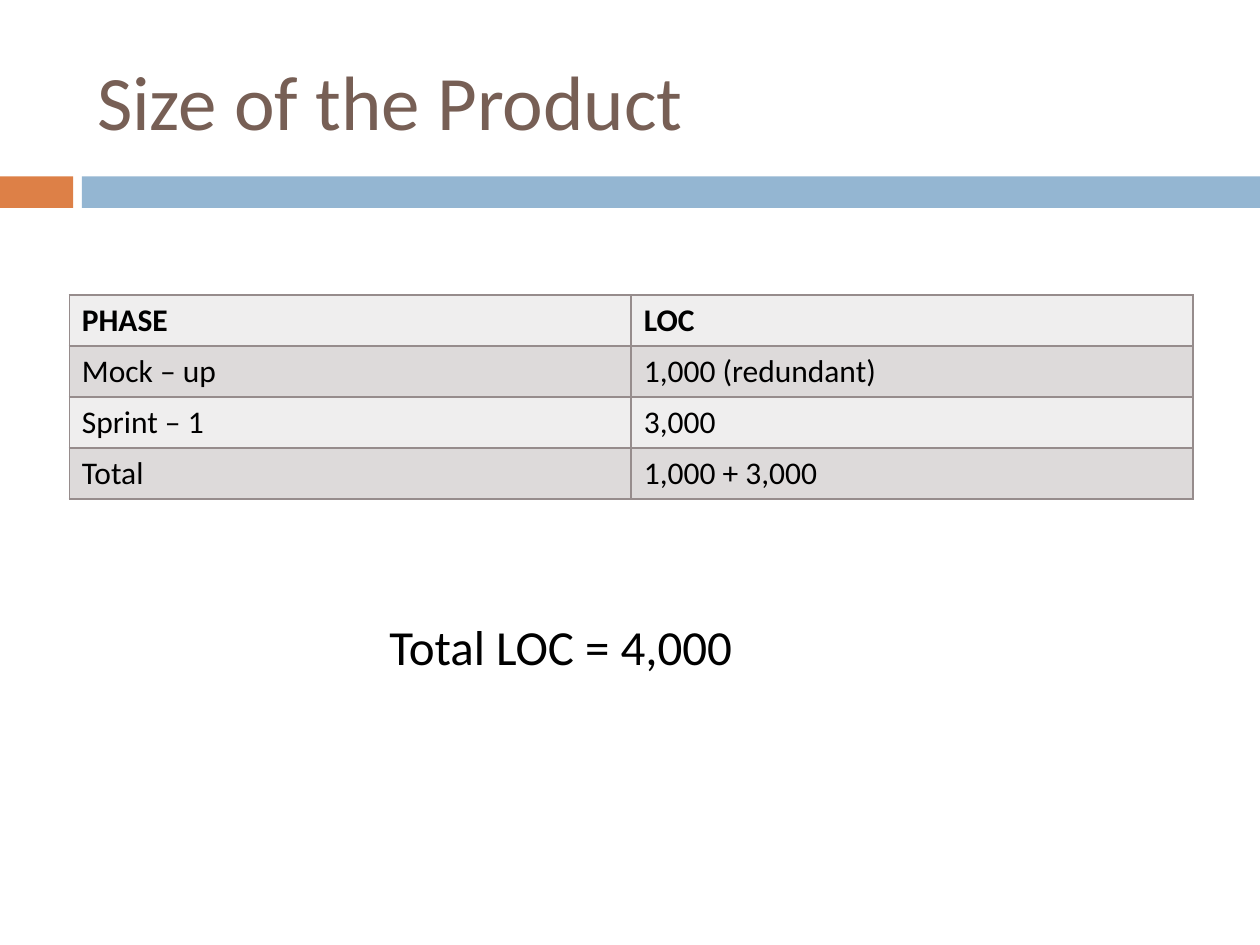
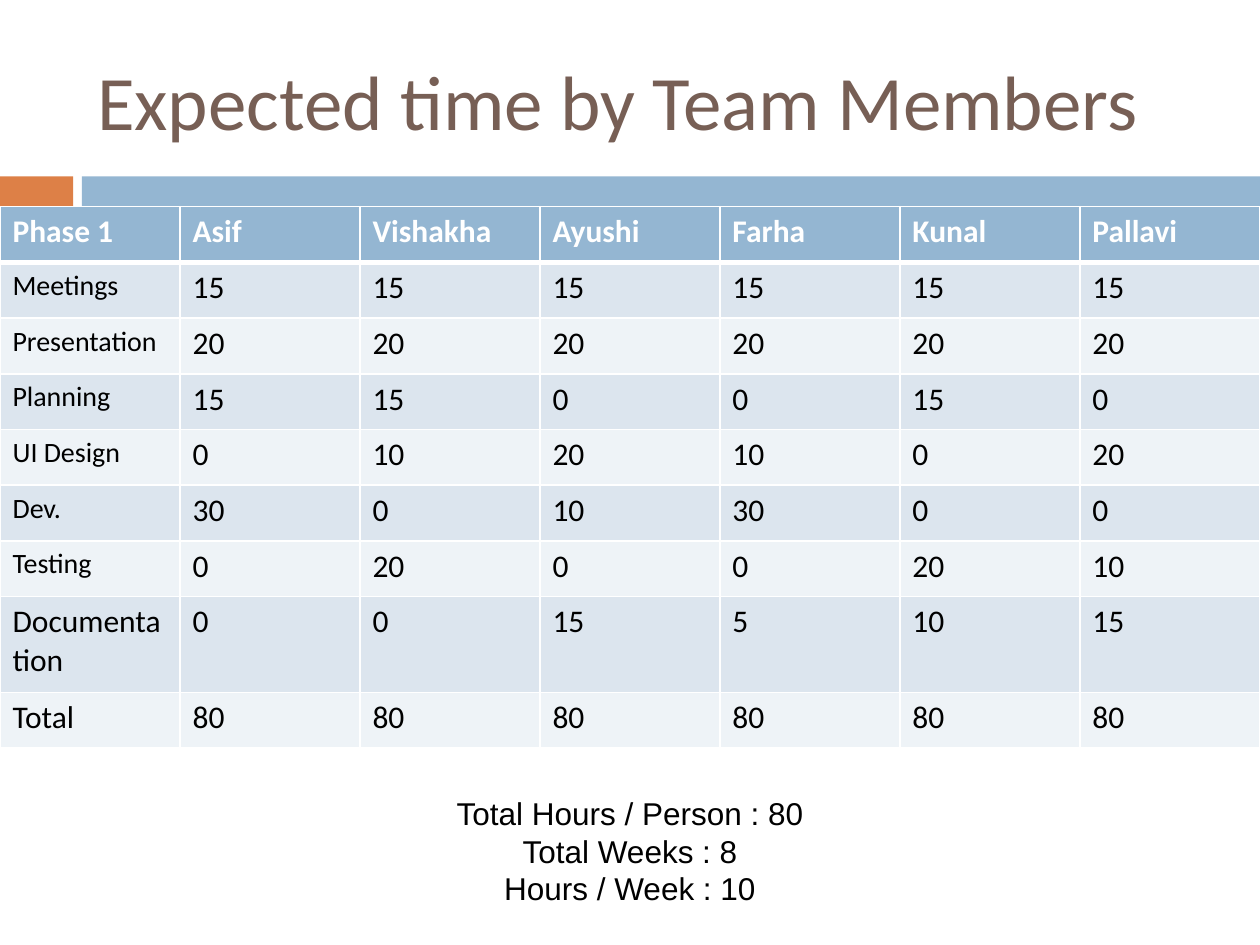
from dataclasses import dataclass

import pptx
import pptx.dml.color
import pptx.enum.shapes
import pptx.enum.text
import pptx.oxml
import pptx.oxml.ns
import pptx.slide
import pptx.table
import pptx.text.text
import pptx.util

# Shared look; lengths are cells of a grid of 100 columns by 75 rows
COLORS = {
    "title": "775F55", "accent": "DD8047", "band": "94B6D2",
    "ink": "000000", "paper": "FFFFFF", "rule": "968C8C",
    "grey_light": "EFEEEE", "grey_dark": "DDDADA",
    "blue_light": "EEF3F7", "blue_dark": "DCE5EE",
}
HEADING_FONT = "Calibri"
NOTE_FONT = "Arial"
CELL = pptx.util.Inches(0.1)
COLUMNS, ROWS = 100, 75
ALIGN = pptx.enum.text.PP_ALIGN


def grid(cells: float) -> pptx.util.Emu:
    return pptx.util.Emu(round(cells * CELL))


@dataclass(frozen=True)
class Box:
    left: float
    top: float
    width: float
    height: float

    def emu(self) -> tuple[pptx.util.Emu, ...]:
        return tuple(grid(n) for n in (self.left, self.top, self.width, self.height))


@dataclass(frozen=True)
class Band:
    box: Box
    color: str


@dataclass(frozen=True)
class TextStyle:
    size: int
    color: str = "ink"
    font: str = HEADING_FONT
    bold: bool = False
    align: ALIGN = ALIGN.LEFT


@dataclass(frozen=True)
class TableLook:
    header_fill: str
    header_color: str
    stripes: tuple[str, str]
    border: str
    header_rule: int
    small_labels: tuple[str, ...] = ()


TITLE_BOX = Box(6.7, 2.5, 89.2, 10.8)
TITLE_STYLE = TextStyle(44, "title")
BANDS = (
    Band(Box(0, 14, 5.8, 2.5), "accent"),
    Band(Box(6.5, 14, COLUMNS - 6.5, 2.5), "band"),
)


def rgb(name: str) -> pptx.dml.color.RGBColor:
    return pptx.dml.color.RGBColor.from_string(COLORS[name])


def style_text(frame: pptx.text.text.TextFrame, style: TextStyle) -> None:
    for paragraph in frame.paragraphs:
        paragraph.alignment = style.align
        for run in paragraph.runs:
            run.font.size = pptx.util.Pt(style.size)
            run.font.name = style.font
            run.font.bold = style.bold
            run.font.color.rgb = rgb(style.color)


def start_slide(deck, title: str) -> pptx.slide.Slide:
    """Add a slide with the shared title and bands."""
    slide = deck.slides.add_slide(deck.slide_layouts.get_by_name("Title Only"))
    for band in BANDS:
        bar = slide.shapes.add_shape(
            pptx.enum.shapes.MSO_SHAPE.RECTANGLE, *band.box.emu())
        bar.shadow.inherit = False
        bar.fill.solid()
        bar.fill.fore_color.rgb = rgb(band.color)
        bar.line.fill.background()
    heading = slide.shapes.title
    heading.left, heading.top, heading.width, heading.height = TITLE_BOX.emu()
    frame = heading.text_frame
    frame.text = title
    frame.auto_size = pptx.enum.text.MSO_AUTO_SIZE.NONE
    frame.vertical_anchor = pptx.enum.text.MSO_ANCHOR.MIDDLE
    style_text(frame, TITLE_STYLE)
    return slide


def add_note(slide: pptx.slide.Slide, box: Box, text: str, style: TextStyle,
             inset: float = 1) -> None:
    frame = slide.shapes.add_textbox(*box.emu()).text_frame
    frame.word_wrap = True
    frame.margin_left = grid(inset)
    frame.text = text
    style_text(frame, style)


def set_borders(cell: pptx.table._Cell, color: str, top: int, bottom: int) -> None:
    properties = cell._tc.get_or_add_tcPr()
    for side, points in (("L", 1), ("R", 1), ("T", top), ("B", bottom)):
        properties.append(pptx.oxml.parse_xml(
            f'<a:ln{side} {pptx.oxml.ns.nsdecls("a")} w="{pptx.util.Pt(points)}">'
            f'<a:solidFill><a:srgbClr val="{COLORS[color]}"/></a:solidFill>'
            f'</a:ln{side}>'))


def add_grid_table(slide: pptx.slide.Slide, box: Box, rows: list[tuple],
                   look: TableLook, tall_rows: dict[int, float]) -> None:
    """Fill a table with equal columns; rows not named as tall share the rest."""
    table = slide.shapes.add_table(len(rows), len(rows[0]), *box.emu()).table
    table.first_row = table.horz_banding = False
    for column in table.columns:
        column.width = grid(box.width / len(rows[0]))
    plain_height = (box.height - sum(tall_rows.values())) / (len(rows) - len(tall_rows))

    for r, values in enumerate(rows):
        table.rows[r].height = grid(tall_rows.get(r, plain_height))
        header = r == 0
        for c, value in enumerate(values):
            cell = table.cell(r, c)
            cell.text = str(value)
            size = 16 if value in look.small_labels else 18
            color = look.header_color if header else "ink"
            style_text(cell.text_frame, TextStyle(size, color, bold=header))
            set_borders(cell, look.border,
                        top=look.header_rule if r == 1 else 1,
                        bottom=look.header_rule if header else 1)
            cell.fill.solid()
            cell.fill.fore_color.rgb = rgb(
                look.header_fill if header else look.stripes[(r - 1) % 2])


deck = pptx.Presentation()
deck.slide_width, deck.slide_height = grid(COLUMNS), grid(ROWS)

# Slide 1: lines of code per phase
product_size = start_slide(deck, "Size of the Product")
loc_by_phase = [
    ("PHASE", "LOC"),
    ("Mock – up", "1,000 (redundant)"),
    ("Sprint – 1", "3,000"),
    ("Total", "1,000 + 3,000"),
]
add_grid_table(
    product_size, Box(5.5, 23.4, 89.2, 16.2), loc_by_phase,
    TableLook("grey_light", "ink", ("grey_dark", "grey_light"), "rule", 1), {})
add_note(product_size, Box(27.3, 48.4, 43, 5.7), "Total LOC = 4,000",
         TextStyle(28), inset=3.6)

# Slide 2: hours per team member
team_time = start_slide(deck, "Expected time by Team Members")
hours_by_member = [
    ("Phase 1", "Asif", "Vishakha", "Ayushi", "Farha", "Kunal", "Pallavi"),
    ("Meetings", 15, 15, 15, 15, 15, 15),
    ("Presentation", 20, 20, 20, 20, 20, 20),
    ("Planning", 15, 15, 0, 0, 15, 0),
    ("UI Design", 0, 10, 20, 10, 0, 20),
    ("Dev.", 30, 0, 10, 30, 0, 0),
    ("Testing", 0, 20, 0, 0, 20, 10),
    ("Documentation", 0, 0, 15, 5, 10, 15),
    ("Total", 80, 80, 80, 80, 80, 80),
]
activities = tuple(row[0] for row in hours_by_member[1:7])
add_grid_table(
    team_time, Box(0, 16.4, COLUMNS, 43), hours_by_member,
    TableLook("band", "paper", ("blue_dark", "blue_light"), "paper", 3, activities),
    {7: 7.6})
add_note(team_time, Box(0, 62.5, COLUMNS, 10.1),
         "Total Hours / Person : 80\nTotal Weeks : 8\nHours / Week : 10",
         TextStyle(18, font=NOTE_FONT, align=ALIGN.CENTER))

deck.save("out.pptx")
